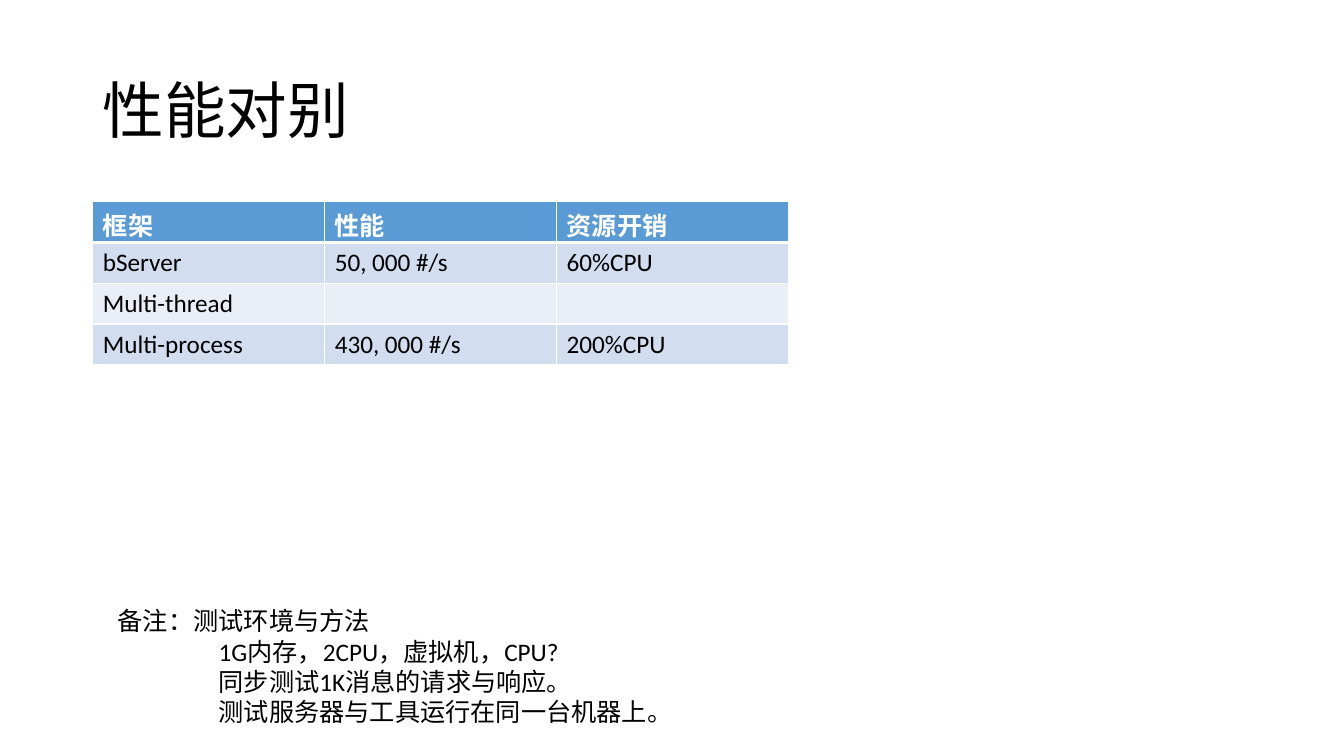
from dataclasses import dataclass

from lxml import etree
from pptx import Presentation
from pptx.dml.color import RGBColor
from pptx.enum.text import MSO_ANCHOR
from pptx.oxml.ns import qn
from pptx.util import Inches, Pt

MIDDLE, TOP = MSO_ANCHOR.MIDDLE, MSO_ANCHOR.TOP


@dataclass(frozen=True)
class Theme:
    font: str = "Calibri"
    title: int = 44
    body: int = 18
    text: str = "000000"
    white: str = "FFFFFF"
    header: str = "5B9BD5"
    bands: tuple = ("D2DEEF", "EAEFF7")


T = Theme()

ROWS = [
    ("框架", "性能", "资源开销"),
    ("bServer", "50, 000 #/s", "60%CPU"),
    ("Multi-thread", "", ""),
    ("Multi-process", "430, 000 #/s", "200%CPU"),
]
NOTE_HEAD = "备注：测试环境与方法"
NOTE_ITEMS = [
    "1G内存，2CPU，虚拟机，CPU?",
    "同步测试1K消息的请求与响应。",
    "测试服务器与工具运行在同一台机器上。",
]


def write(p, text, size=T.body, color=T.text, bold=False, indent=0, spacing=None):
    """Put one formatted run in a paragraph."""
    r = p.add_run()
    r.text = text
    r.font.name, r.font.size, r.font.bold = T.font, Pt(size), bold
    r.font.color.rgb = RGBColor.from_string(color)
    if spacing:
        p.line_spacing = spacing
    if indent:
        pPr = p._p.get_or_add_pPr()
        pPr.set("marL", str(Inches(indent)))
        pPr.set("indent", "0")


def add_box(s, box, anchor=TOP, wrap=True):
    tf = s.shapes.add_textbox(*map(Inches, box)).text_frame
    tf.word_wrap, tf.vertical_anchor = wrap, anchor
    return tf


def set_borders(cell, color, **widths):
    """Draw cell borders; widths are points keyed by side L, R, T, B."""
    tcPr = cell._tc.get_or_add_tcPr()
    for side, width in widths.items():
        ln = etree.SubElement(tcPr, qn(f"a:ln{side}"), w=str(Pt(width)))
        fill = etree.SubElement(ln, qn("a:solidFill"))
        etree.SubElement(fill, qn("a:srgbClr"), val=color)


def add_title(s, box, text):
    tf = add_box(s, box, anchor=MIDDLE)
    write(tf.paragraphs[0], text, size=T.title, spacing=0.9)


def add_results(s, box, rows):
    x, y, w, h = map(Inches, box)
    table = s.shapes.add_table(len(rows), len(rows[0]), x, y, w, h).table
    for i, row in enumerate(rows):
        head = i == 0
        fill = T.header if head else T.bands[(i - 1) % 2]
        for j, text in enumerate(row):
            cell = table.cell(i, j)
            # The rule under the header is thicker
            set_borders(cell, T.white, L=1, R=1, T=3 if i == 1 else 1,
                        B=3 if head else 1)
            cell.fill.solid()
            cell.fill.fore_color.rgb = RGBColor.from_string(fill)
            if text:
                write(cell.text_frame.paragraphs[0], text, bold=head,
                      color=T.white if head else T.text)


def add_note(s, box, head, items):
    tf = add_box(s, box, wrap=False)
    write(tf.paragraphs[0], head)
    for item in items:
        write(tf.add_paragraph(), item, indent=1)


prs = Presentation()
prs.slide_width, prs.slide_height = Inches(13.33), Inches(7.5)
s = prs.slides.add_slide(prs.slide_layouts[6])

# Title, results table, test conditions
add_title(s, (0.92, 0.4, 11.5, 1.45), "性能对别")
add_results(s, (0.92, 2, 6.9, 1.62), ROWS)
add_note(s, (1.07, 5.96, 5.76, 1.31), NOTE_HEAD, NOTE_ITEMS)

prs.save("out.pptx")
